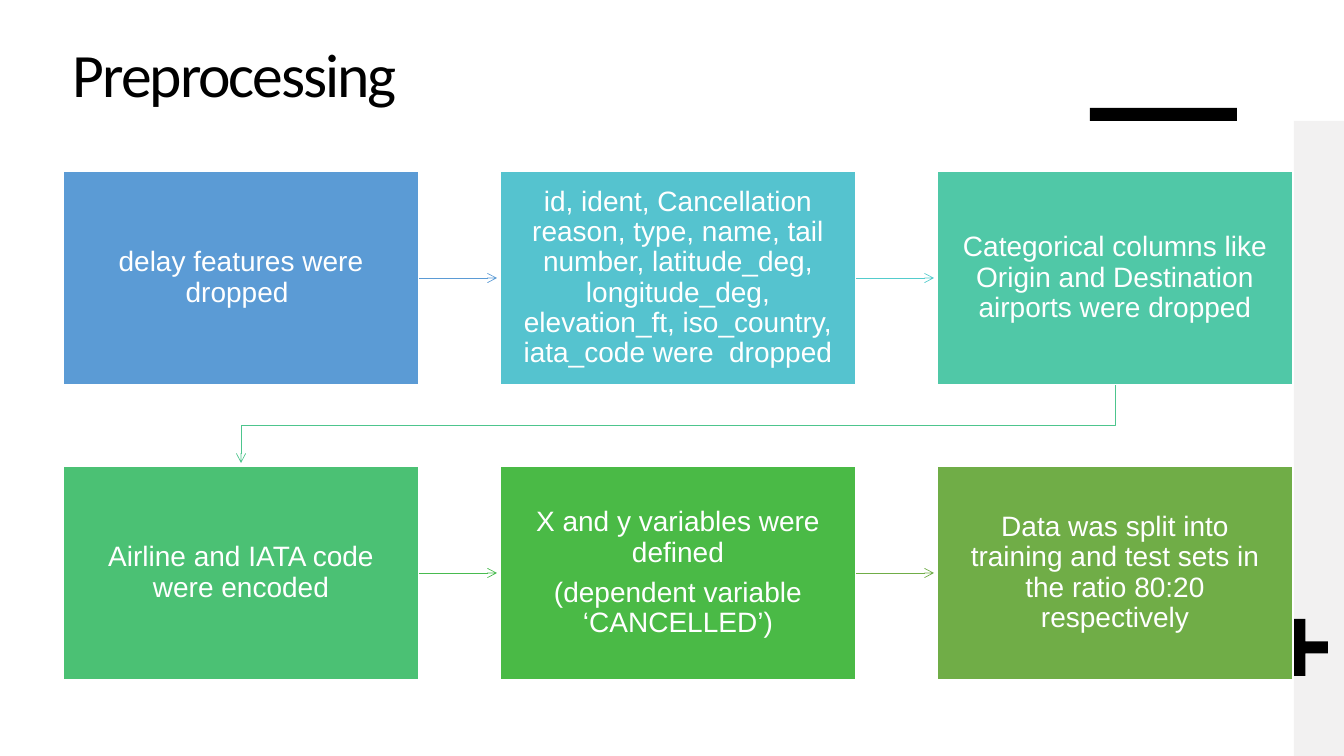
from lxml import etree
from pptx import Presentation
from pptx.dml.color import RGBColor
from pptx.enum.shapes import MSO_CONNECTOR, MSO_SHAPE
from pptx.enum.text import MSO_ANCHOR, PP_ALIGN
from pptx.oxml.ns import qn
from pptx.util import Emu, Pt

RECTANGLE = MSO_SHAPE.RECTANGLE
CROSS = MSO_SHAPE.CROSS
STRAIGHT = MSO_CONNECTOR.STRAIGHT
CENTER = PP_ALIGN.CENTER
MIDDLE = MSO_ANCHOR.MIDDLE
RIGHT_SIDE = 3
SCALE = 914400 / 100.8

COLORS = {
    "black": "000000", "white": "FFFFFF", "panel": "F2F1F1",
    "blue": "5B9BD5", "cyan": "55C3CF", "teal": "50C8A7",
    "mint": "4BC174", "green": "4ABA46", "olive": "70AD47",
    "cyan line": "54CCCD", "mint line": "4DC58D", "green line": "48BB4F",
}
STEPS = [
    ("blue", ["delay features were dropped "]),
    ("cyan", ["id, ident, Cancellation reason, type, name, tail number, latitude_deg, "
              "longitude_deg, elevation_ft, iso_country, iata_code were  dropped"]),
    ("teal", ["Categorical columns like Origin and Destination airports were dropped"]),
    ("mint", ["Airline and IATA code were encoded"]),
    ("green", ["X and y variables were defined", "(dependent variable ‘CANCELLED’)"]),
    ("olive", ["Data was split into training and test sets in the ratio 80:20 respectively"]),
]
ARROWS = {0: "blue", 1: "cyan line", 3: "green line", 4: "olive"}
COLUMNS = 3
LEFT, TOP, WIDTH, HEIGHT = 63, 171, 356, 214
COLUMN_PITCH, ROW_PITCH = 437, 295
ARROW_LENGTH = 78


def px(value):
    return Emu(round(value * SCALE))


def color(name):
    return RGBColor.from_string(COLORS[name])


class SlideBuilder:
    """Draws styled elements on one slide, measured in px."""

    def __init__(self, slide):
        self.slide = slide
        self.shapes = slide.shapes

    def shape(self, kind, left, top, width, height, fill):
        shape = self.shapes.add_shape(kind, px(left), px(top), px(width), px(height))
        shape.shadow.inherit = False
        shape.fill.solid()
        shape.fill.fore_color.rgb = color(fill)
        shape.line.fill.background()
        return shape

    def title(self, text, left, top, width, height):
        box = self.shapes.add_textbox(px(left), px(top), px(width), px(height))
        frame = box.text_frame
        frame.word_wrap = True
        frame.margin_left = frame.margin_top = px(10)
        paragraph = frame.paragraphs[0]
        run = paragraph.add_run()
        run.text = text
        run.font.name = "Calibri"
        run.font.size = Pt(44)
        run.font.color.rgb = color("black")
        run.font._element.set("spc", "-150")

    def step(self, left, top, fill, texts):
        shape = self.shape(RECTANGLE, left, top, WIDTH, HEIGHT, fill)
        shape.line.color.rgb = color("white")
        shape.line.width = Pt(1)
        frame = shape.text_frame
        frame.word_wrap = True
        frame.vertical_anchor = MIDDLE
        frame.margin_left = frame.margin_right = px(17)
        frame.margin_top = frame.margin_bottom = px(18)
        for index, text in enumerate(texts):
            paragraph = frame.add_paragraph() if index else frame.paragraphs[0]
            paragraph.text = text
            paragraph.alignment = CENTER
            paragraph.line_spacing = 0.9
            paragraph.space_after = Pt(7)
            paragraph.font.name = "Arial"
            paragraph.font.size = Pt(20)
            paragraph.font.color.rgb = color("white")
        return shape

    def arrow_line(self, line, name):
        line.color.rgb = color(name)
        line.width = Pt(0.5)
        properties = line._get_or_add_ln()
        etree.SubElement(properties, qn("a:tailEnd"), type="arrow")

    def arrow(self, step, name):
        start = step.left + step.width
        middle = step.top + step.height // 2
        connector = self.shapes.add_connector(
            STRAIGHT, start, middle, start + px(ARROW_LENGTH), middle)
        connector.begin_connect(step, RIGHT_SIDE)
        self.arrow_line(connector.line, name)
        etree.SubElement(connector._element.spPr, qn("a:effectLst"))

    def bent_arrow(self, points, name):
        builder = self.shapes.build_freeform(*points[0], scale=SCALE)
        builder.add_line_segments(points[1:], close=False)
        shape = builder.convert_to_shape()
        shape.shadow.inherit = False
        shape.fill.background()
        self.arrow_line(shape.line, name)


def main():
    presentation = Presentation()
    presentation.slide_width, presentation.slide_height = px(1344), px(756)
    builder = SlideBuilder(presentation.slides.add_slide(presentation.slide_layouts[6]))
    builder.title("Preprocessing", 63, 26, 911, 111)
    builder.shape(RECTANGLE, 1294, 121, 50, 635, "panel")
    builder.shape(RECTANGLE, 1090, 108, 147, 13, "black")
    plus = builder.shape(CROSS, 1271, 619, 57, 57, "black")
    plus.adjustments[0] = 0.395

    for index, (fill, texts) in enumerate(STEPS):
        row, column = divmod(index, COLUMNS)
        step = builder.step(LEFT + column * COLUMN_PITCH, TOP + row * ROW_PITCH, fill, texts)
        if index in ARROWS:
            builder.arrow(step, ARROWS[index])

    first_center = LEFT + WIDTH // 2
    last_center = first_center + (COLUMNS - 1) * COLUMN_PITCH
    bottom, next_top = TOP + HEIGHT, TOP + ROW_PITCH
    turn = (bottom + next_top) // 2
    builder.bent_arrow([(last_center, bottom), (last_center, turn),
                        (first_center, turn), (first_center, next_top - 3)], "mint line")
    presentation.save("out.pptx")


if __name__ == "__main__":
    main()
